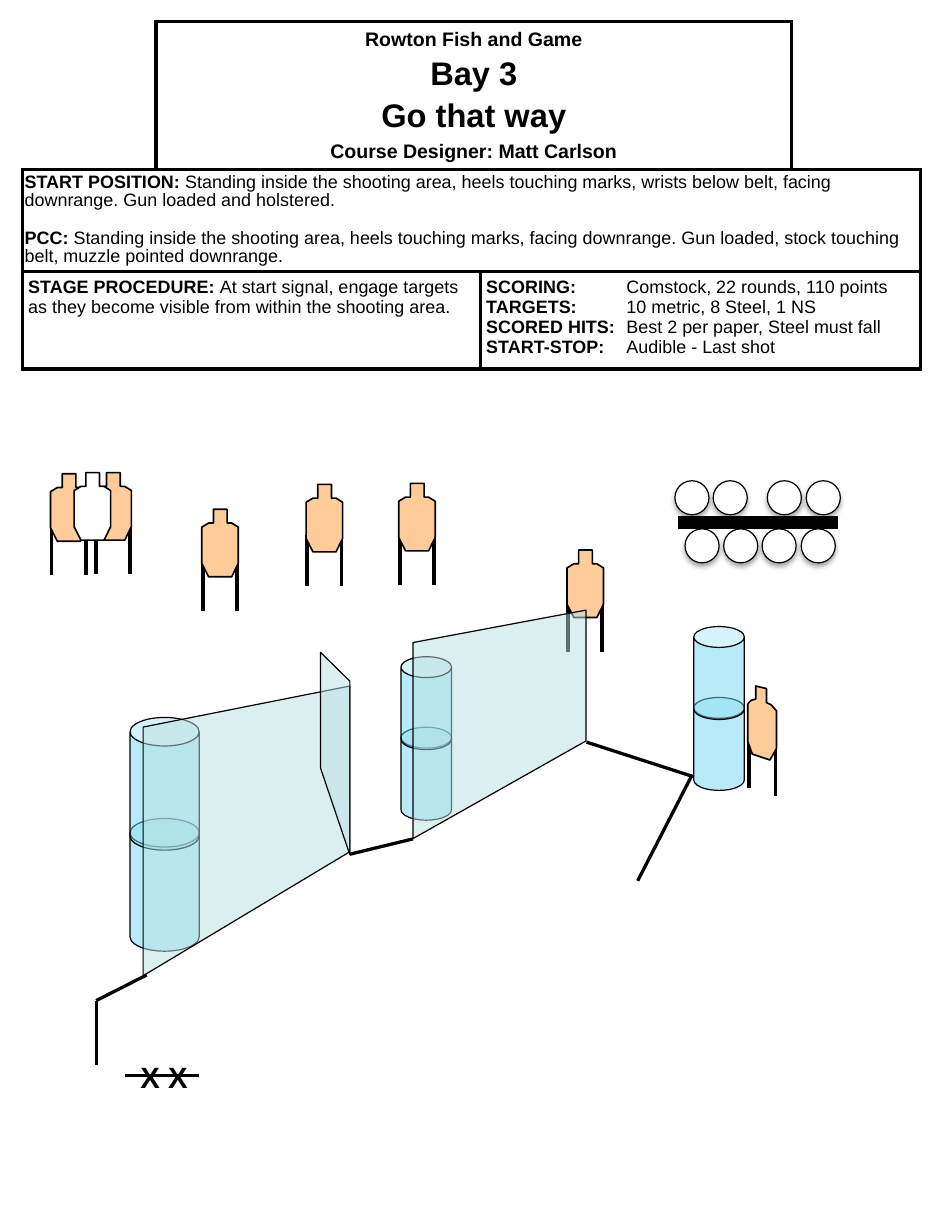
from dataclasses import dataclass

from lxml.etree import SubElement
from pptx import Presentation
from pptx.dml.color import RGBColor
from pptx.enum.shapes import MSO_CONNECTOR as Connector, MSO_SHAPE as Shape
from pptx.enum.text import MSO_ANCHOR as Anchor, PP_ALIGN as Align
from pptx.oxml.ns import qn
from pptx.util import Pt


@dataclass(frozen=True)
class Theme:
    font: str = "Arial"
    ink: str = "000000"
    paper: str = "FFFFFF"
    target: str = "FFCC99"
    barrel: str = "73D9F1"
    panel: str = "BBE0E3"
    body_size: float = 11
    label_size: float = 12
    mark_size: float = 18
    title_size: float = 20
    thin: float = 0.75
    outline: float = 1
    fault_line: float = 2
    heavy: float = 2.25


def write_text(frame, paragraphs, size, theme, align=Align.LEFT, spacing=None,
               gap=0, tab=None):
    """Fill a frame; each paragraph is a list of (text, bold) runs."""
    for index, runs in enumerate(paragraphs):
        paragraph = frame.paragraphs[0] if index == 0 else frame.add_paragraph()
        paragraph.alignment = align
        if spacing:
            paragraph.line_spacing = spacing
        paragraph.space_before = Pt(gap if index else 0)
        if tab:
            tabs = SubElement(paragraph._p.get_or_add_pPr(), qn("a:tabLst"))
            SubElement(tabs, qn("a:tab"), pos=str(Pt(tab)), algn="l")
        for text, bold in runs:
            run = paragraph.add_run()
            run.text = text
            run.font.name = theme.font
            run.font.size = Pt(size[index] if isinstance(size, list) else size)
            run.font.bold = bold
            run.font.color.rgb = RGBColor.from_string(theme.ink)


class StageDrawing:
    def __init__(self, slide, theme):
        self.slide = slide
        self.theme = theme

    def style(self, shape, fill, width, alpha=None):
        shape.shadow.inherit = False
        shape.fill.solid()
        shape.fill.fore_color.rgb = RGBColor.from_string(fill)
        if alpha:
            color = shape._element.spPr.find(qn("a:solidFill"))[0]
            SubElement(color, qn("a:alpha"), val=str(alpha * 1000))
        shape.line.color.rgb = RGBColor.from_string(self.theme.ink)
        shape.line.width = Pt(width)
        return shape

    def preset(self, kind, left, top, width, height, fill, alpha=None):
        shape = self.slide.shapes.add_shape(
            kind, Pt(left), Pt(top), Pt(width), Pt(height))
        return self.style(shape, fill, self.theme.thin, alpha)

    def outline(self, points, fill, width, alpha=None):
        corners = [(Pt(x), Pt(y)) for x, y in points]
        builder = self.slide.shapes.build_freeform(*corners[0], scale=1.0)
        builder.add_line_segments(corners[1:], close=True)
        return self.style(builder.convert_to_shape(), fill, width, alpha)

    def line(self, start, end, width):
        connector = self.slide.shapes.add_connector(
            Connector.STRAIGHT, Pt(start[0]), Pt(start[1]), Pt(end[0]), Pt(end[1]))
        connector.line.color.rgb = RGBColor.from_string(self.theme.ink)
        connector.line.width = Pt(width)
        SubElement(connector._element.spPr, qn("a:effectLst"))

    def fault_line(self, start, end):
        self.line(start, end, self.theme.fault_line)

    def panel(self, points):
        self.outline(points, self.theme.panel, self.theme.thin, alpha=50)

    def barrel(self, left, top, width, height, rise):
        for y in (top + rise, top):
            can = self.preset(Shape.CAN, left, y, width, height, self.theme.barrel, 50)
            can.adjustments[0] = 0.413

    def legs(self, feet, length=31.5):
        for x, y in feet:
            self.line((x, y), (x, y + length), self.theme.heavy)

    def silhouette(self, left, top, fill):
        profile = [(7.2, 0), (15.6, 0), (15.6, 8.5), (18.4, 8.5), (22.4, 11),
                   (22.4, 33.2), (18.4, 41.4), (4.2, 41.4), (0, 33.2), (0, 11),
                   (4.2, 8.5), (7.2, 8.5)]
        self.outline([(left + x, top + y) for x, y in profile], fill, self.theme.outline)

    def target(self, left, top):
        self.legs([(left + x, top + 30.8) for x in (0.7, 21.6)])
        self.silhouette(left, top, self.theme.target)

    def plate(self, left, top):
        plate = self.preset(Shape.OVAL, left, top, 20.9, 20.9, self.theme.paper)
        effects = plate._element.spPr.find(qn("a:effectLst"))
        shadow = SubElement(effects, qn("a:outerShdw"), blurRad=str(Pt(3.1)),
                            dist=str(Pt(1.8)), dir="5400000", rotWithShape="0")
        color = SubElement(shadow, qn("a:srgbClr"), val=self.theme.ink)
        SubElement(color, qn("a:alpha"), val="35000")

    def cell_frame(self, cell, sides):
        properties = cell._tc.get_or_add_tcPr()
        for side in sides:
            border = SubElement(properties, qn(f"a:ln{side}"), w=str(Pt(self.theme.heavy)))
            fill = SubElement(border, qn("a:solidFill"))
            SubElement(fill, qn("a:srgbClr"), val=self.theme.ink)
        cell.fill.solid()
        cell.fill.fore_color.rgb = RGBColor.from_string(self.theme.paper)

    def table(self, left, top, widths, heights):
        table = self.slide.shapes.add_table(
            len(heights), len(widths), Pt(left), Pt(top),
            Pt(sum(widths)), Pt(sum(heights))).table
        table.first_row = table.horz_banding = False
        for column, width in zip(table.columns, widths):
            column.width = Pt(width)
        for row, height in zip(table.rows, heights):
            row.height = Pt(height)
        corners = {(0, 0): "RB", (0, len(widths) - 1): "LB"}
        for r in range(len(heights)):
            for c in range(len(widths)):
                self.cell_frame(table.cell(r, c), corners.get((r, c), "LRTB"))
        return table

    def merged_text(self, table, first, last, paragraphs, size, side=3.6, edge=3.6,
                    anchor=Anchor.TOP, **format):
        cell = table.cell(*first)
        cell.merge(table.cell(*last))
        cell.margin_left = cell.margin_right = Pt(side)
        cell.margin_top = cell.margin_bottom = Pt(edge)
        cell.vertical_anchor = anchor
        write_text(cell.text_frame, paragraphs, size, self.theme, **format)

    def label(self, left, top, width, height, text, size):
        frame = self.slide.shapes.add_textbox(
            Pt(left), Pt(top), Pt(width), Pt(height)).text_frame
        frame.word_wrap = True
        write_text(frame, [[(text, True)]], size, self.theme)


def add_briefing(drawing):
    theme = drawing.theme
    table = drawing.table(13.7, 13, [82, 199, 191, 79], [91, 62.5, 60])
    titles = ["Rowton Fish and Game", "Bay 3", "Go that way",
              "Course Designer: Matt Carlson"]
    drawing.merged_text(
        table, (0, 1), (0, 2), [[(title, True)] for title in titles],
        [theme.label_size, theme.title_size, theme.title_size, theme.label_size],
        anchor=Anchor.MIDDLE, align=Align.CENTER, gap=3.5)
    drawing.merged_text(table, (1, 0), (1, 3), [
        [("START POSITION:", True),
         (" Standing inside the shooting area, heels touching marks, wrists below belt, "
          "facing downrange. Gun loaded and holstered.", False)],
        [("PCC: ", True),
         ("Standing inside the shooting area, heels touching marks, facing downrange. "
          "Gun loaded, stock touching belt, muzzle pointed downrange.", False)],
    ], theme.body_size, side=1.4, edge=2.9, spacing=0.9, gap=12.5)
    drawing.merged_text(table, (2, 0), (2, 1), [
        [("STAGE PROCEDURE: ", True),
         ("At start signal, engage targets as they become visible from within the "
          "shooting area.", False)]], theme.body_size)
    scoring = {"SCORING:": "Comstock, 22 rounds, 110 points",
               "TARGETS:": "10 metric, 8 Steel, 1 NS",
               "SCORED HITS:": "Best 2 per paper, Steel must fall",
               "START-STOP:": "Audible - Last shot"}
    drawing.merged_text(
        table, (2, 2), (2, 3),
        [[(name, True), ("\t" + value, False)] for name, value in scoring.items()],
        theme.body_size, tab=86)


def main():
    presentation = Presentation()
    presentation.slide_width, presentation.slide_height = Pt(576), Pt(756)
    slide = presentation.slides.add_slide(presentation.slide_layouts[6])
    theme = Theme()
    drawing = StageDrawing(slide, theme)

    # Barrels and the target behind the walls
    drawing.barrel(79.8, 440.3, 42.4, 81.4, 62)
    drawing.target(347.8, 337.5)
    drawing.barrel(246, 403, 31, 57, 43.3)
    drawing.fault_line((253.4, 514.8), (214.6, 524.2))

    # Stage briefing
    add_briefing(drawing)

    # Left walls
    drawing.panel([(214.6, 522.7), (87.8, 598.8), (87.8, 446.2), (214.6, 421)])
    drawing.panel([(196.6, 471.3), (214.6, 524.5), (214.6, 418), (196.6, 400.3)])

    # Plate rack
    drawing.preset(Shape.RECTANGLE, 416, 317.2, 97.9, 7.2, theme.ink)
    for top, lefts in ((295, (414, 437.5, 470.7, 494.6)),
                       (324.5, (420.2, 443.9, 467.5, 491.5))):
        for left in lefts:
            drawing.plate(left, top)

    # Right barrel and wall
    drawing.barrel(425.6, 384.5, 31, 57, 43.5)
    drawing.panel([(359.5, 454.7), (253.4, 514.6), (253.4, 394.3), (359.5, 374.4)])

    # Paper targets, one of them turned
    drawing.target(31, 290.7)
    drawing.target(58.2, 290)
    drawing.legs([(475.7, 457.2), (459.4, 452.5)], 31)
    drawing.outline(
        [(470.2, 422.6), (463.6, 421), (463.6, 429), (460.7, 429.8), (458.7, 432),
         (458.7, 455), (461.5, 462.8), (472.3, 466.4), (476.3, 459.3), (476.3, 436.2),
         (473, 432.5), (470.2, 431.2)], theme.target, theme.outline)

    # Fault lines
    drawing.fault_line((90, 598.3), (59, 614))
    drawing.fault_line((59, 614), (59, 653.8))
    drawing.fault_line((424.4, 476.3), (359.8, 455.4))
    drawing.fault_line((391.2, 540.5), (424.6, 475.5))

    # Open targets and the no-shoot
    for left, top in ((123.8, 312.5), (187.8, 297.2), (244.6, 296.6)):
        drawing.target(left, top)
    drawing.silhouette(45.5, 290, theme.paper)

    # Start marks
    drawing.fault_line((122.2, 660), (76.8, 660))
    drawing.label(79, 646.5, 45.5, 29, "X X", theme.mark_size)

    presentation.save("out.pptx")


if __name__ == "__main__":
    main()
